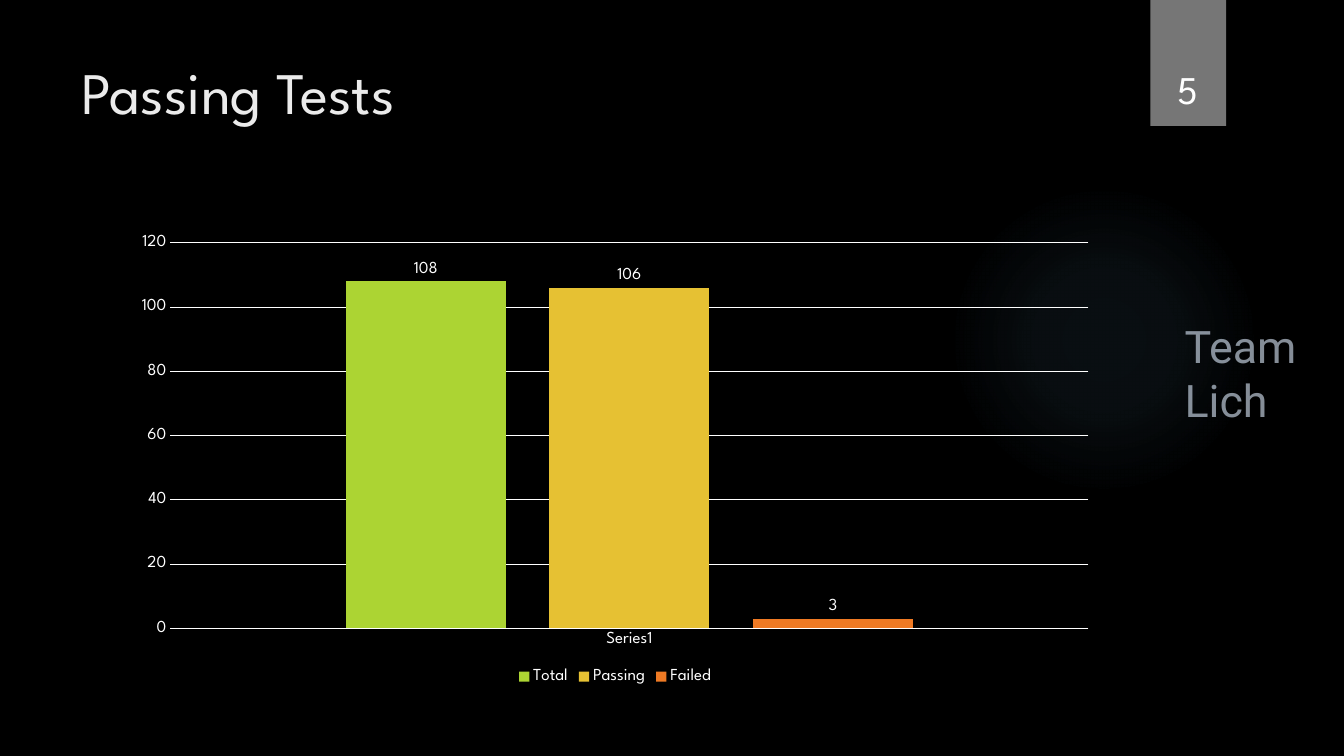
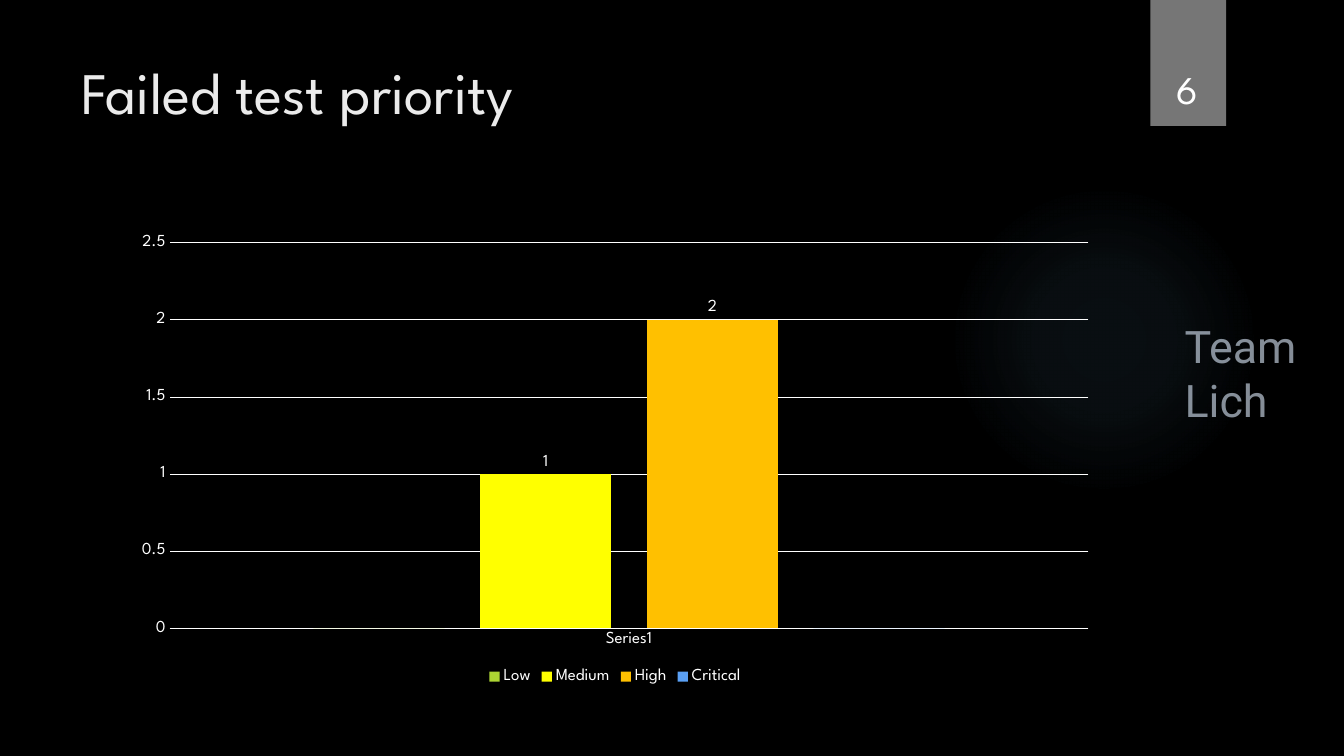
from lxml.etree import SubElement
from pptx import Presentation
from pptx.chart.data import CategoryChartData
from pptx.dml.color import RGBColor
from pptx.enum.chart import XL_CHART_TYPE, XL_LABEL_POSITION, XL_LEGEND_POSITION, XL_TICK_MARK
from pptx.enum.shapes import MSO_SHAPE
from pptx.enum.text import MSO_ANCHOR, PP_ALIGN
from pptx.oxml.ns import qn
from pptx.util import Inches, Pt

WIDTH, HEIGHT = Inches(13.33), Inches(7.5)
COLORS = {
    "background": "000000", "glow": "7AC4F0", "tab": "767676",
    "title": "EBEBEB", "team": "DEECFD", "white": "FFFFFF",
    "green": "ACD433", "gold": "E6C133", "orange": "EF7A24",
    "yellow": "FFFF00", "amber": "FFC000", "blue": "5AA0F5",
}
FONTS = {
    "title": {"name": "League Spartan", "size": Pt(42)},
    "number": {"name": "League Spartan", "size": Pt(28)},
    "team": {"name": "Roboto", "size": Pt(32)},
    "chart": {"name": "League Spartan", "size": Pt(12)},
}
AREAS = {
    "glow": (70.59, 24.4, 23.11, 41.07),
    "tab": (85.6, 0, 5.63, 16.67),
    "chart": (9.08, 29.87, 73.37, 61.2),
    "title": (5.33, 6.67, 77.19, 20.4),
    "team": (87.4, 49.87, 12.83, 7.2),
    "number": (84.92, 4.27, 6.9, 11.2),
}
GLOW_STOPS = ((0, 7), (36, 6), (69, 0))
CHARTS = (
    (5, "Passing Tests", 120, 20,
     (("Total", 108, "green"), ("Passing", 106, "gold"), ("Failed", 3, "orange"))),
    (6, "Failed test priority", 2.5, 0.5,
     (("Low", 0, "green"), ("Medium", 1, "yellow"), ("High", 2, "amber"), ("Critical", 0, "blue"))),
)


def rgb(color):
    return RGBColor.from_string(COLORS[color])


def box(area):
    return [round(side * share / 100)
            for side, share in zip((WIDTH, HEIGHT) * 2, AREAS[area])]


def set_values(target, values):
    for name, value in values.items():
        setattr(target, name, value)


def set_font(font, kind, color="white"):
    set_values(font, FONTS[kind])
    font.color.rgb = rgb(color)


def set_alpha(color_element, percent):
    SubElement(color_element, qn("a:alpha"), val=str(percent * 1000))


def add_plain(slide, preset, area):
    s = slide.shapes.add_shape(preset, *box(area))
    s.shadow.inherit = False
    s.line.fill.background()
    return s


def add_glow(slide):
    s = add_plain(slide, MSO_SHAPE.OVAL, "glow")
    grad = SubElement(s.element.spPr, qn("a:gradFill"), rotWithShape="1")
    stops = SubElement(grad, qn("a:gsLst"))
    for position, alpha in GLOW_STOPS:
        stop = SubElement(stops, qn("a:gs"), pos=str(position * 1000))
        set_alpha(SubElement(stop, qn("a:srgbClr"), val=COLORS["glow"]), alpha)
    route = SubElement(grad, qn("a:path"), path="circle")
    SubElement(route, qn("a:fillToRect"), dict.fromkeys("ltrb", "50000"))
    s.element.spPr.find(qn("a:prstGeom")).addnext(grad)


def add_tab(slide):
    s = add_plain(slide, MSO_SHAPE.RECTANGLE, "tab")
    s.fill.solid()
    s.fill.fore_color.rgb = rgb("tab")


def add_text(slide, kind, text, color, anchor=MSO_ANCHOR.BOTTOM, align=PP_ALIGN.LEFT):
    s = slide.shapes.add_textbox(*box(kind))
    tf = s.text_frame
    set_values(tf, {"word_wrap": True, "vertical_anchor": anchor})
    p = tf.paragraphs[0]
    p.alignment = align
    r = p.add_run()
    r.text = text
    set_font(r.font, kind, color)
    return s


def add_team(slide):
    s = add_text(slide, "team", "Team Lich", "team")
    for color_element in s.element.iter(qn("a:srgbClr")):
        set_alpha(color_element, 60)


def white_line(line):
    line.color.rgb = rgb("white")
    line.width = Pt(0.75)


def style_axes(chart, top, step):
    for axis in (chart.category_axis, chart.value_axis):
        set_values(axis, {"major_tick_mark": XL_TICK_MARK.NONE,
                          "minor_tick_mark": XL_TICK_MARK.NONE})
        set_font(axis.tick_labels.font, "chart")
    white_line(chart.category_axis.format.line)
    set_values(chart.value_axis, {"minimum_scale": 0, "maximum_scale": top,
                                  "major_unit": step, "has_major_gridlines": True})
    chart.value_axis.format.line.fill.background()
    white_line(chart.value_axis.major_gridlines.format.line)


def style_series(series, value, color):
    series.format.fill.solid()
    series.format.fill.fore_color.rgb = rgb(color)
    if value:
        labels = series.data_labels
        set_values(labels, {"show_value": True, "position": XL_LABEL_POSITION.OUTSIDE_END})
        set_font(labels.font, "chart")


def add_columns(slide, top, step, rows):
    data = CategoryChartData()
    data.categories = ["Series1"]
    for name, value, _ in rows:
        data.add_series(name, [value])
    chart = slide.shapes.add_chart(XL_CHART_TYPE.COLUMN_CLUSTERED, *box("chart"), data).chart
    set_values(chart, {"has_title": False, "has_legend": True})
    set_font(chart.font, "chart")
    set_values(chart.legend, {"position": XL_LEGEND_POSITION.BOTTOM, "include_in_layout": False})
    set_font(chart.legend.font, "chart")
    plot = chart.plots[0]
    set_values(plot, {"gap_width": 219, "overlap": -27, "vary_by_categories": False})
    style_axes(chart, top, step)
    for series, (_, value, color) in zip(plot.series, rows):
        style_series(series, value, color)


def add_chart_slide(prs, number, title, top, step, rows):
    slide = prs.slides.add_slide(prs.slide_layouts[6])
    add_glow(slide)
    add_tab(slide)
    add_columns(slide, top, step, rows)
    add_text(slide, "title", title, "title", MSO_ANCHOR.TOP)
    add_team(slide)
    add_text(slide, "number", str(number), "white", align=PP_ALIGN.CENTER)


def main():
    prs = Presentation()
    set_values(prs, {"slide_width": WIDTH, "slide_height": HEIGHT})
    fill = prs.slide_master.background.fill
    fill.solid()
    fill.fore_color.rgb = rgb("background")
    for content in CHARTS:
        add_chart_slide(prs, *content)
    prs.save("out.pptx")


if __name__ == "__main__":
    main()
